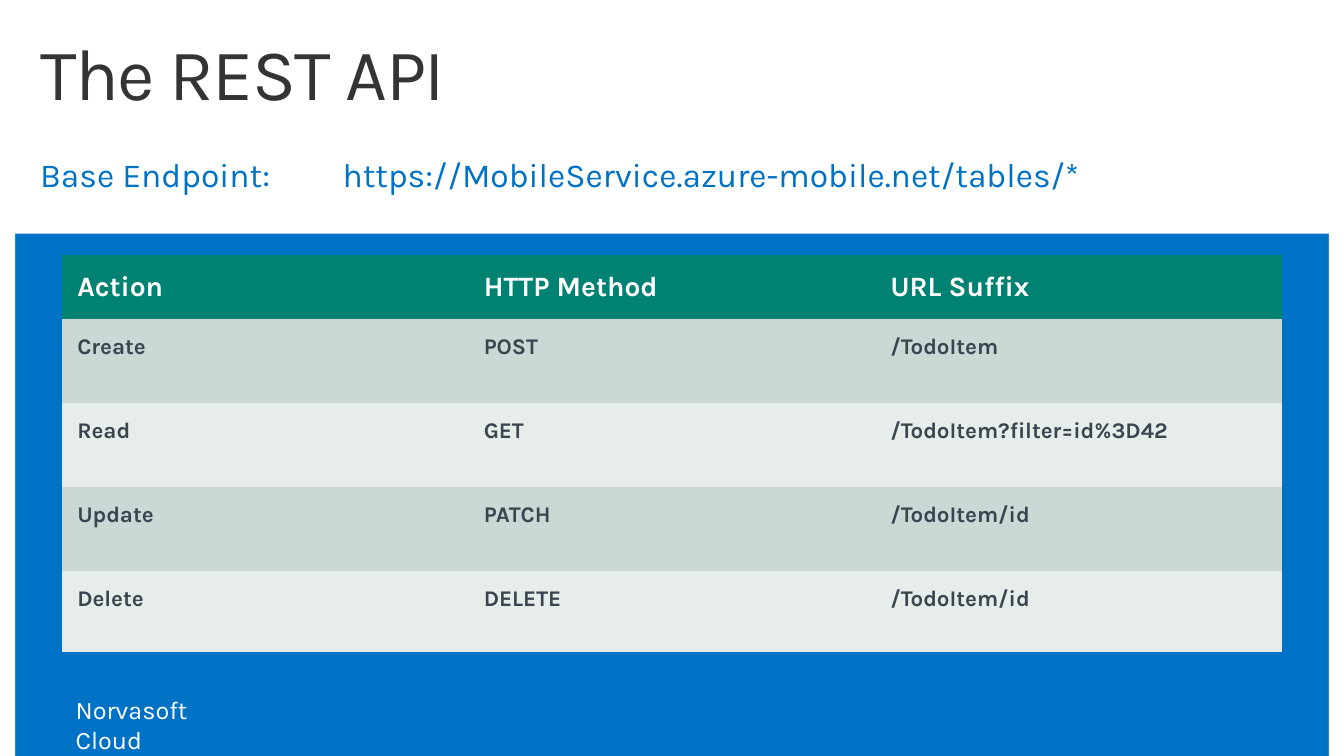
from dataclasses import dataclass

from lxml.etree import SubElement
from pptx import Presentation
from pptx.dml.color import RGBColor
from pptx.enum.shapes import MSO_SHAPE as Shape
from pptx.enum.text import MSO_ANCHOR as Anchor
from pptx.oxml.ns import qn
from pptx.util import Pt


@dataclass(frozen=True)
class Theme:
    font: str = "Karla"
    blue: str = "0072C6"
    white: str = "FFFFFF"
    title_ink: str = "343434"
    cell_ink: str = "3C454F"
    header_fill: str = "008272"
    bands: tuple = ("CCD8D5", "E7EDEB")
    title_size: float = 52
    endpoint_size: float = 24
    header_size: float = 20
    cell_size: float = 16
    footer_size: float = 18


THEME = Theme()
WIDTH, HEIGHT = 960, 540
NO_GRID_STYLE = "{2D5ABB26-0587-4C30-8999-92F81FD0307C}"
ACTIONS = [
    ("Action", "HTTP Method", "URL Suffix"),
    ("Create", "POST", "/TodoItem"),
    ("Read", "GET", "/TodoItem?filter=id%3D42"),
    ("Update", "PATCH", "/TodoItem/id"),
    ("Delete", "DELETE", "/TodoItem/id"),
]
ROW_HEIGHTS = (45, 60, 60, 60, 58)


def style_font(paragraph, size, color, bold=False):
    font = paragraph.font
    font.name = THEME.font
    font.size = Pt(size)
    font.bold = bold
    font.color.rgb = RGBColor.from_string(color)


def add_text(slide, box, text, size, color, line_spacing=1.0, tab=None):
    frame = slide.shapes.add_textbox(*map(Pt, box)).text_frame
    frame.word_wrap = True
    paragraph = frame.paragraphs[0]
    paragraph.text = text
    paragraph.line_spacing = line_spacing
    if tab:
        properties = paragraph._p.get_or_add_pPr()
        tabs = SubElement(properties, qn("a:tabLst"))
        SubElement(tabs, qn("a:tab"), pos=str(Pt(tab)), algn="l")
    style_font(paragraph, size, color)
    return paragraph


def add_backdrop(slide, box, side, top_band):
    left, top, width, height = box
    background = slide.background.fill
    background.solid()
    background.fore_color.rgb = RGBColor.from_string(THEME.blue)
    for panel in (
        (left, top, side, height),
        (left + width - side, top, side, height),
        (left, top, width, top_band),
    ):
        shape = slide.shapes.add_shape(Shape.RECTANGLE, *map(Pt, panel))
        shape.shadow.inherit = False
        shape.fill.solid()
        shape.fill.fore_color.rgb = RGBColor.from_string(THEME.white)
        shape.line.fill.background()


def add_heading(slide, box):
    left, top, width, height = box
    title = add_text(slide, (left, top, width, 73), "The REST API",
                     THEME.title_size, THEME.title_ink, 0.9)
    title.runs[0].font._element.set("spc", "-100")
    add_text(slide, (left, top + height - 50, width, 50),
             "Base Endpoint:\thttps://MobileService.azure-mobile.net/tables/*",
             THEME.endpoint_size, THEME.blue, 0.9, tab=216)


def fill_cell(cell, text, fill, size, color, anchor):
    cell.fill.solid()
    cell.fill.fore_color.rgb = RGBColor.from_string(fill)
    cell.margin_left = cell.margin_right = Pt(10.8)
    cell.margin_top = cell.margin_bottom = Pt(10.8)
    cell.vertical_anchor = anchor
    cell.text = text
    style_font(cell.text_frame.paragraphs[0], size, color, bold=True)


def add_action_table(slide, box):
    shape = slide.shapes.add_table(len(ACTIONS), len(ACTIONS[0]), *map(Pt, box))
    for style in shape.element.iter(qn("a:tableStyleId")):
        style.text = NO_GRID_STYLE
    table = shape.table
    table.horz_banding = False
    for column in table.columns:
        column.width = Pt(box[2] / len(ACTIONS[0]))
    for index, (texts, height) in enumerate(zip(ACTIONS, ROW_HEIGHTS)):
        row = table.rows[index]
        row.height = Pt(height)
        if index == 0:
            look = (THEME.header_fill, THEME.header_size, THEME.white, Anchor.MIDDLE)
        else:
            band = THEME.bands[(index - 1) % 2]
            look = (band, THEME.cell_size, THEME.cell_ink, Anchor.TOP)
        for cell, text in zip(row.cells, texts):
            fill_cell(cell, text, *look)


def add_footer(slide, box):
    add_text(slide, box, "Norvasoft Cloud", THEME.footer_size, THEME.white)


def main():
    presentation = Presentation()
    presentation.slide_width, presentation.slide_height = Pt(WIDTH), Pt(HEIGHT)
    slide = presentation.slides.add_slide(presentation.slide_layouts[6])
    add_backdrop(slide, (0, 0, WIDTH, HEIGHT), side=10.8, top_band=167)
    add_heading(slide, (21.6, 23, 778, 137))
    add_footer(slide, (47, 492.5, 108, 47))
    add_action_table(slide, (44.4, 182.4, 871.2, sum(ROW_HEIGHTS)))
    presentation.save("out.pptx")


if __name__ == "__main__":
    main()
